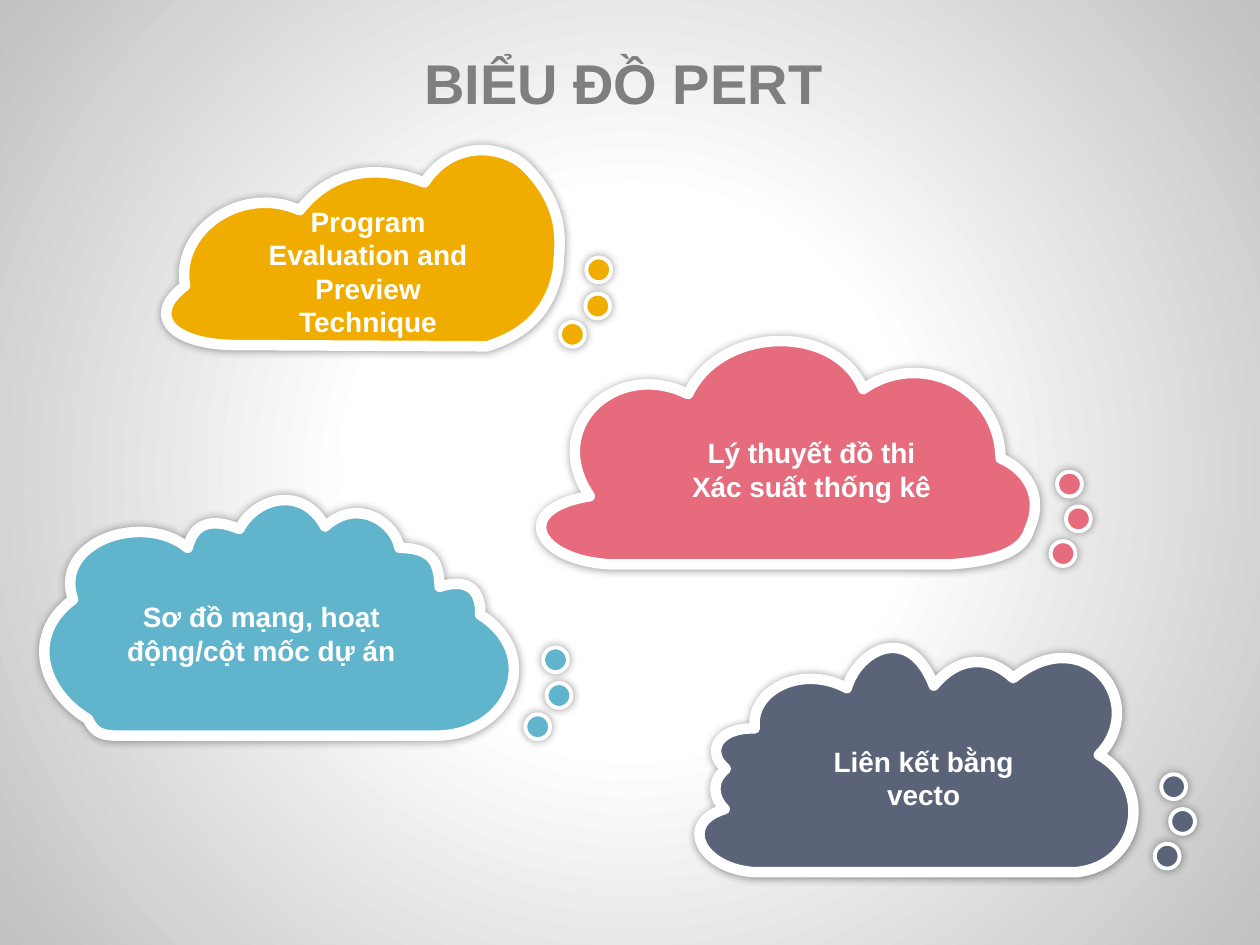
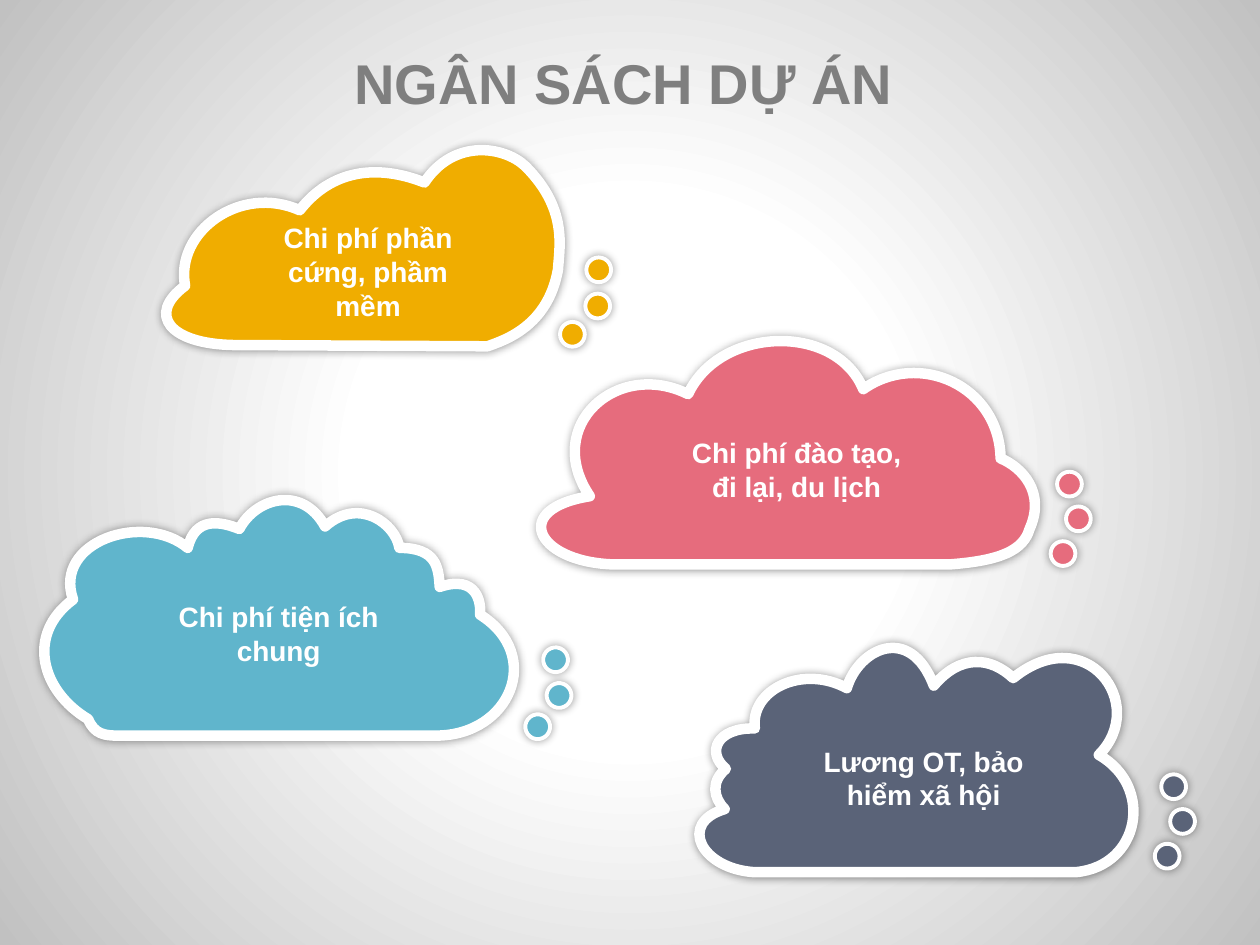
from dataclasses import dataclass

from pptx import Presentation
from pptx.dml.color import RGBColor
from pptx.enum.shapes import MSO_SHAPE
from pptx.enum.text import MSO_ANCHOR, MSO_AUTO_SIZE, PP_ALIGN
from pptx.oxml import parse_xml
from pptx.oxml.ns import nsdecls, qn
from pptx.util import Cm, Pt

OVAL = MSO_SHAPE.OVAL
MIDDLE = MSO_ANCHOR.MIDDLE
GROW = MSO_AUTO_SIZE.SHAPE_TO_FIT_TEXT
CENTER = PP_ALIGN.CENTER


@dataclass(frozen=True)
class Theme:
    font: str = "Arial"
    white: str = "FFFFFF"
    edge: str = "C1C1C1"
    grey: str = "7F7F7F"
    shade: str = "000000"
    gold: str = "F0AD00"
    rose: str = "E66C7D"
    blue: str = "60B5CC"
    navy: str = "5A6378"
    head: int = 32
    body: int = 16
    rim: float = 6
    ring: float = 2.25


THEME = Theme()
UNIT = Cm(2.54) / 100  # outline grid
DOT = 0.5              # dot width, cm
MID = 12.57            # title centre, cm
TRAIL = [(0, 0), (0.31, -0.7), (0.13, -1.4)]


@dataclass(frozen=True)
class Cloud:
    """Corner, text middle and dots in cm; size and outline in grid units."""
    color: str
    left: float
    top: float
    size: tuple
    mid: float
    start: tuple  # lowest dot, from the corner
    trail: list   # dots, from the lowest one
    turn: float   # rotation of the dots
    base: list    # flat lower edge
    curves: list  # two handles and an end for each bump


CLOUDS = [
    Cloud(THEME.gold, 3.35, 3.02, (312, 156), 2.45, (7.94, 3.47),
          [(0, 0), (0.51, -0.57), (0.53, -1.3)], 0,
          [(53, 155), (255, 156)],
          [((269, 151), (303, 140), (311, 95)),
           ((312, 77), (319, 47), (285, 13)),
           ((268, -3), (228, -9), (205, 26)),
           ((167, 11), (131, 16), (106, 48)),
           ((59, 27), (7, 65), (15, 108)),
           ((-16, 131), (3, 154), (53, 155))]),
    Cloud(THEME.rose, 10.9, 6.88, (392, 177), 2.58, (10.28, 4.03), TRAIL,
          343.7, [(55, 177), (326, 177)],
          [((365, 174), (383, 166), (388, 149)),
           ((401, 120), (382, 100), (365, 93)),
           ((364, 35), (300, 7), (256, 38)),
           ((234, -15), (142, -12), (117, 42)),
           ((61, 14), (1, 67), (39, 123)),
           ((-24, 133), (-4, 174), (55, 177))]),
    Cloud(THEME.blue, 0.89, 10.08, (373, 187), 2.69, (9.7, 4.32),
          [(0, 0), (0.43, -0.63), (0.36, -1.35)], 352.7,
          [(59, 187), (311, 187)],
          [((370, 187), (397, 123), (346, 91)),
           ((347, 82), (344, 59), (314, 69)),
           ((313, 54), (312, 38), (282, 38)),
           ((279, 19), (250, -3), (223, 21)),
           ((205, -12), (168, -2), (155, 23)),
           ((140, 17), (120, 13), (114, 38)),
           ((79, 9), (7, 33), (23, 79)),
           ((-15, 107), (-2, 152), (35, 174)),
           ((40, 186), (48, 187), (59, 187))]),
    Cloud(THEME.navy, 14.1, 13.06, (345, 178), 2.62, (9.18, 3.95), TRAIL,
          343.7, [(43, 178), (299, 178)],
          [((350, 173), (361, 110), (317, 85)),
           ((357, 45), (307, -23), (249, 24)),
           ((231, 7), (207, 5), (186, 30)),
           ((167, -20), (126, 1), (117, 32)),
           ((82, 13), (40, 33), (44, 64)),
           ((14, 63), (5, 83), (21, 96)),
           ((9, 106), (11, 119), (20, 128)),
           ((-17, 139), (1, 175), (43, 178))]),
]

# Title, its width, then labels: paragraphs, left in the cloud, width, rows
SLIDES = [
    ("BIỂU ĐỒ PERT", 8.61, [
        (["Program Evaluation and Preview Technique"], 1.68, 4.78, 4),
        (["Lý thuyết đồ thi", "Xác suất thống kê"], 2.77, 5.38, 2),
        (["Sơ đồ mạng, hoạt động/cột mốc dự án"], 1.22, 6.32, 2),
        (["Liên kết bằng vecto"], 2.13, 4.78, 2)]),
    ("NGÂN SÁCH DỰ ÁN", 11.43, [
        (["Chi phí phần cứng, phầm mềm"], 1.68, 4.78, 3),
        (["Chi phí đào tạo, đi lại, du lịch"], 2.77, 4.78, 2),
        (["Chi phí tiện ích chung"], 2.34, 4.78, 2),
        (["Lương OT, bảo hiểm xã hội"], 2.13, 4.78, 2)]),
]


def rgb(color):
    return RGBColor.from_string(color)


def backdrop(master):
    """Radial glow behind every slide."""
    master.background.fill.solid()
    bg = master.element.find(".//" + qn("p:bgPr"))
    glow = parse_xml(
        f'<a:gradFill {nsdecls("a")} rotWithShape="1"><a:gsLst>'
        f'<a:gs pos="35000"><a:srgbClr val="{THEME.white}"/></a:gs>'
        f'<a:gs pos="100000"><a:srgbClr val="{THEME.edge}"/></a:gs>'
        '</a:gsLst><a:path path="circle">'
        '<a:fillToRect l="50000" t="50000" r="50000" b="50000"/>'
        '</a:path></a:gradFill>')
    bg.replace(bg.find(qn("a:solidFill")), glow)


def paint(shape, color, width):
    """Plain fill, white rim and soft shadow."""
    shape.fill.solid()
    shape.fill.fore_color.rgb = rgb(color)
    shape.line.color.rgb = rgb(THEME.white)
    shape.line.width = Pt(width)
    shape.shadow.inherit = False
    effects = shape.element.spPr.find(qn("a:effectLst"))
    effects.append(parse_xml(
        f'<a:outerShdw {nsdecls("a")} blurRad="{Pt(5)}" dist="0" '
        f'algn="ctr" rotWithShape="0"><a:srgbClr val="{THEME.shade}">'
        '<a:alpha val="40000"/></a:srgbClr></a:outerShdw>'))


def write(slide, box, lines, size, color, wrap=True):
    frame = slide.shapes.add_textbox(*map(Cm, box)).text_frame
    frame.word_wrap = wrap
    frame.auto_size = GROW
    frame.vertical_anchor = MIDDLE
    for i, line in enumerate(lines):
        para = frame.paragraphs[0] if i == 0 else frame.add_paragraph()
        para.alignment = CENTER
        run = para.add_run()
        run.text = line
        font = run.font
        font.name, font.size, font.bold = THEME.font, Pt(size), True
        font.color.rgb = rgb(color)


def add_body(slide, cloud):
    # Straight outline through the ends of the bumps
    first, last = cloud.base
    ends = [curve[-1] for curve in cloud.curves]
    pen = slide.shapes.build_freeform(*first, scale=UNIT)
    pen.add_line_segments([last, *ends], close=True)
    body = pen.convert_to_shape()
    body.left, body.top = Cm(cloud.left), Cm(cloud.top)
    body.width, body.height = (round(n * UNIT) for n in cloud.size)

    # Bend each side after the base into a bump
    route = body.element.find(".//" + qn("a:path"))
    for key, value in zip("wh", cloud.size):
        route.set(key, str(value))
    tags = ["moveTo", "lnTo"] + ["cubicBezTo"] * len(cloud.curves)
    parts = [[first], [last], *cloud.curves]
    for node, tag, points in zip(list(route), tags, parts):
        marks = "".join(f'<a:pt x="{x}" y="{y}"/>' for x, y in points)
        route.replace(node, parse_xml(
            f'<a:{tag} {nsdecls("a")}>{marks}</a:{tag}>'))
    paint(body, cloud.color, THEME.rim)


def add_dots(slide, cloud):
    group = slide.shapes.add_group_shape()
    for dx, dy in cloud.trail:
        x = cloud.left + cloud.start[0] + dx
        y = cloud.top + cloud.start[1] + dy
        dot = group.shapes.add_shape(OVAL, Cm(x), Cm(y), Cm(DOT), Cm(DOT))
        dot.rotation = cloud.turn
        paint(dot, cloud.color, THEME.ring)


def add_label(slide, cloud, label):
    lines, left, width, rows = label
    height = 0.25 + 0.68 * rows
    box = (cloud.left + left, cloud.top + cloud.mid - height / 2,
           width, height)
    write(slide, box, lines, THEME.body, THEME.white)


def add_slide(deck, title, width, labels):
    slide = deck.slides.add_slide(deck.slide_layouts[6])
    write(slide, (MID - width / 2, 0.84, width, 1.62), [title],
          THEME.head, THEME.grey, wrap=False)
    for cloud in CLOUDS:
        add_body(slide, cloud)
    for cloud in CLOUDS:
        add_dots(slide, cloud)
    for cloud, label in zip(CLOUDS, labels):
        add_label(slide, cloud, label)


def main():
    deck = Presentation()
    deck.slide_width, deck.slide_height = Cm(25.4), Cm(19.05)
    backdrop(deck.slide_master)
    for title, width, labels in SLIDES:
        add_slide(deck, title, width, labels)
    deck.save("out.pptx")


if __name__ == "__main__":
    main()
